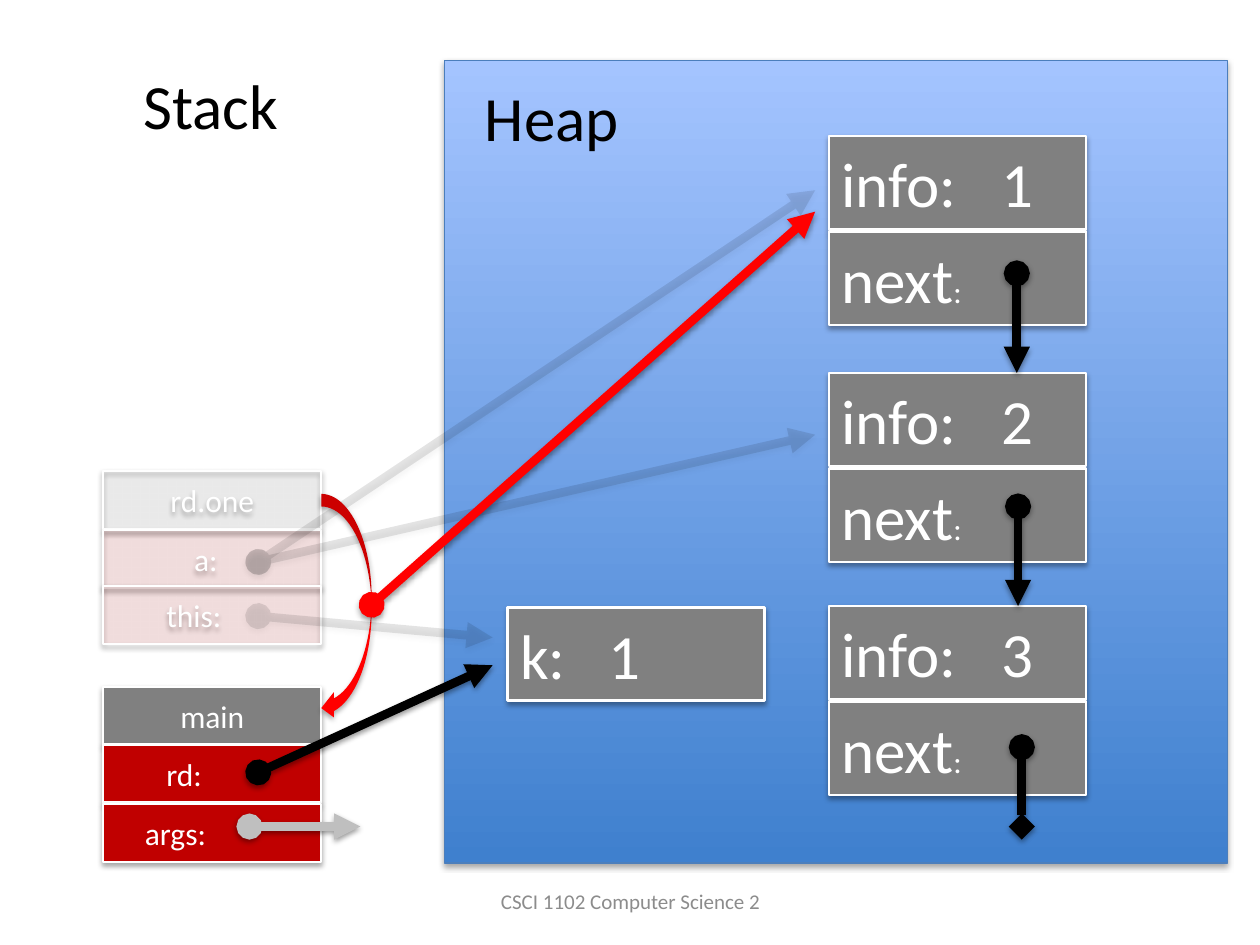
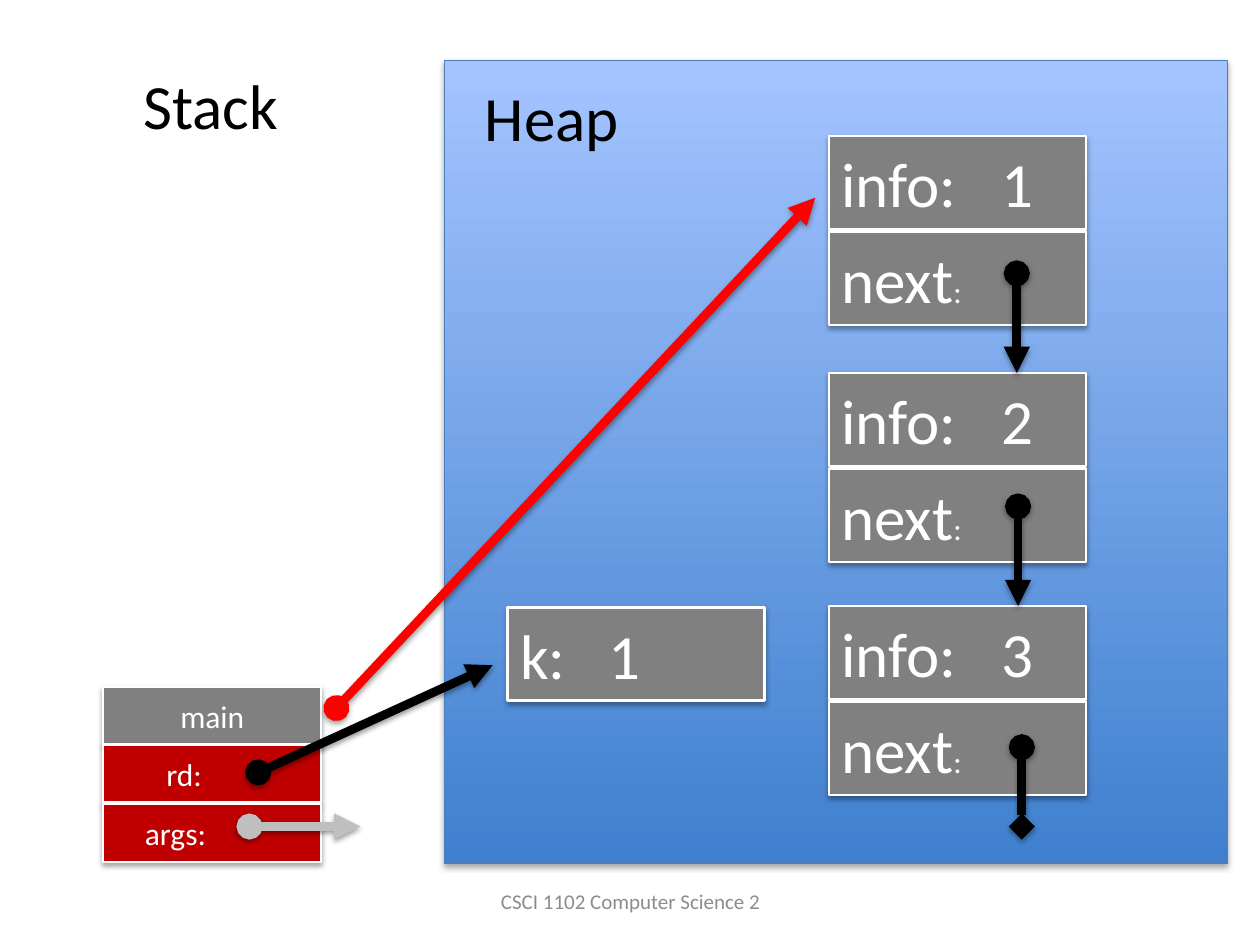
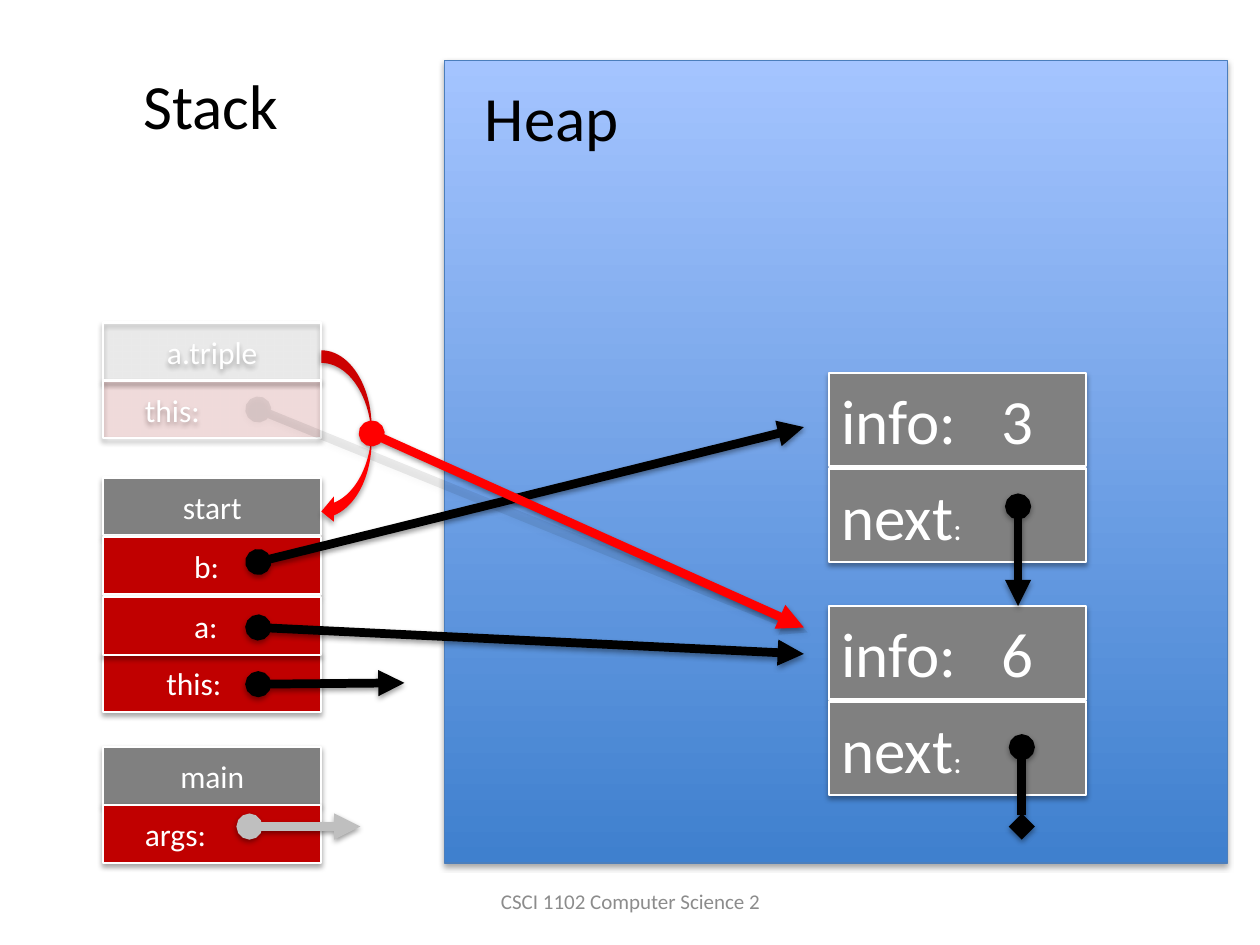
from pptx import Presentation
from pptx.dml.color import RGBColor as RGB
from pptx.enum.shapes import MSO_CONNECTOR as LINK, MSO_SHAPE as SHAPE
from pptx.enum.text import MSO_ANCHOR as ANCHOR, MSO_AUTO_SIZE as AUTO, PP_ALIGN as ALIGN
from pptx.oxml import parse_xml
from pptx.oxml.ns import nsdecls, qn
from pptx.util import Inches, Pt


class Theme:
    font = "Calibri"
    big, mid, small = 36, 18, 12
    black, white, gray = "000000", "FFFFFF", "808080"
    red, hot, pale, note = "C00000", "FF0000", "BFBFBF", "8C8C8C"
    deep, light, rim = "3F80CE", "A4C4FF", "4B7EBC"
    thick = 5
    shade = (
        f'<a:effectLst {nsdecls("a")}><a:outerShdw blurRad="39400" dist="%d" dir="5400000" '
        'rotWithShape="0"><a:srgbClr val="000000"><a:alpha val="%d"/></a:srgbClr>'
        "</a:outerShdw></a:effectLst>"
    )
    label = {"word_wrap": False, "auto_size": AUTO.SHAPE_TO_FIT_TEXT}
    cell = {"word_wrap": True, "vertical_anchor": ANCHOR.MIDDLE}


def box(slide, at, parts=(), fill=None, edge=None, fade=100, ink=Theme.white,
        frame=Theme.cell, para=None, tab=None, kind=SHAPE.RECTANGLE):
    spot = [Inches(n) for n in at]
    if fill:
        item = slide.shapes.add_shape(kind, *spot)
        item.fill.solid()
        item.fill.fore_color.rgb = RGB.from_string(fill)
        if fade < 100:
            tint = item.fill._xPr.find(".//" + qn("a:srgbClr"))
            tint.append(parse_xml(f'<a:alpha {nsdecls("a")} val="{fade * 1000}"/>'))
        if edge:
            item.line.color.rgb = RGB.from_string(edge[0])
            item.line.width = Pt(edge[1])
        else:
            item.line.fill.background()
        item._element.spPr.append(parse_xml(Theme.shade % (22900, 35000)))
    else:
        item = slide.shapes.add_textbox(*spot)
    body = item.text_frame
    for key, val in frame.items():
        setattr(body, key, val)
    line = body.paragraphs[0]
    for key, val in {"alignment": ALIGN.LEFT, **(para or {})}.items():
        setattr(line, key, val)
    if tab:
        line._p.get_or_add_pPr().append(parse_xml(
            f'<a:tabLst {nsdecls("a")}><a:tab pos="{Inches(tab)}" algn="l"/></a:tabLst>'))
    for text, size in parts:
        run = line.add_run()
        run.text = text
        run.font.color.rgb = RGB.from_string(ink)
        for key, val in {"name": Theme.font, "size": Pt(size)}.items():
            setattr(run.font, key, val)
    return item


def arrow(slide, start, end, hue=Theme.black, fade=100, tip="triangle"):
    link = slide.shapes.add_connector(LINK.STRAIGHT, *[Inches(n) for n in (*start, *end)])
    link.line.color.rgb = RGB.from_string(hue)
    link.line.width = Pt(Theme.thick)
    ln = link.line._ln
    if fade < 100:
        tint = ln.find(".//" + qn("a:srgbClr"))
        tint.append(parse_xml(f'<a:alpha {nsdecls("a")} val="{fade * 1000}"/>'))
    for tag, form in (("headEnd", "oval"), ("tailEnd", tip)):
        ln.append(parse_xml(f'<a:{tag} {nsdecls("a")} type="{form}"/>'))
    link._element.spPr.append(parse_xml(Theme.shade % (20000, 38000)))


left, wide, high = 0.82, 1.73, 0.46
near, mid, far = 0.23, 0.4, 0.62
pitch = 0.76
first = (1.08, "1", 8.07, 2.17, 2.96, "triangle")
main = [(5.45, "main", None, 100), (5.91, "rd:", mid, 100), (6.38, "args:", near, 100)]
rd = ((2.05, 6.13), (3.91, 5.28), Theme.black, 100)
args = ((1.98, 6.56), (2.86, 6.56), Theme.pale, 100)


def_last = ("triangle", "diamond")
scenes = [
    {
        "rows": main + [(3.74, "rd.one", None, 10), (4.21, "a:", far, 10), (4.65, "this:", mid, 10)],
        "key": "1",
        "list": ["3", "2", "1"],
        "links": [
            args, rd,
            ((2.05, 4.89), (3.91, 5.06), Theme.black, 10),
            ((2.05, 4.46), (6.47, 3.45), Theme.black, 10),
            ((2.05, 4.46), (6.47, 1.51), Theme.black, 10),
        ],
        "curve": (3.92, 1.8),
        "result": ((2.95, 4.8), (6.47, 1.68)),
    },
    {
        "rows": main,
        "key": "1",
        "list": ["3", "2", "1"],
        "links": [args, rd],
        "curve": None,
        "result": ((2.67, 5.62), (6.47, 1.57)),
    },
    {
        "rows": [
            (5.93, "main", None, 100), (6.39, "args:", near, 100),
            (3.79, "start", None, 100), (4.26, "b:", far, 100),
            (5.19, "this:", mid, 100), (4.74, "a:", far, 100),
            (2.56, "a.triple", None, 10), (3.02, "this:", near, 11),
        ],
        "key": None,
        "list": ["6", "3"],
        "links": [
            args,
            ((2.05, 4.98), (6.38, 5.19), Theme.black, 100),
            ((2.05, 4.46), (6.38, 3.39), Theme.black, 100),
            ((2.05, 5.43), (3.21, 5.42), Theme.black, 100),
            ((2.05, 3.25), (6.41, 5.02), Theme.black, 7),
        ],
        "curve": (2.78, 1.38),
        "result": ((2.95, 3.44), (6.38, 4.98)),
    },
]
slots = [
    (4.81, (8.11, 5.93), (8.11, 6.56), "diamond"),
    (2.96, (8.08, 4.02), (8.08, 4.81), "triangle"),
    (1.08, (8.07, 2.17), (8.07, 2.96), "triangle"),
]
node = {"fill": Theme.gray, "edge": (Theme.white, 1.5)}

deck = Presentation()
deck.slide_width, deck.slide_height = Inches(10), Inches(7.5)

for scene in scenes:
    slide = deck.slides.add_slide(deck.slide_layouts[6])

    heap = box(slide, (3.53, 0.48, 6.21, 6.37), fill=Theme.deep, edge=(Theme.rim, 0.75))
    heap.fill.gradient()
    heap.fill.gradient_angle = 90
    for stop, (place, hue) in zip(heap.fill.gradient_stops, ((0, Theme.deep), (1, Theme.light))):
        stop.position = place
        stop.color.rgb = RGB.from_string(hue)

    box(slide, (3.42, 6.95, 3.17, 0.4), [("CSCI 1102 Computer Science 2", Theme.small)],
        ink=Theme.note, para={"alignment": ALIGN.CENTER})
    for text, at in (("Heap", (3.75, 0.57, 1.27, 0.71)), ("Stack", (1.04, 0.48, 1.28, 0.71))):
        box(slide, at, [(text, Theme.big)], ink=Theme.black, frame=Theme.label)

    for top, text, pad, fade in scene["rows"]:
        head = pad is None
        cell = box(slide, (left, top, wide, high), [(text, Theme.mid)],
                   Theme.gray if head else Theme.red, (Theme.white, 1.25), fade,
                   para={"alignment": ALIGN.CENTER if head else ALIGN.LEFT})
        if not head:
            cell.text_frame.margin_left = Inches(0.1 + pad)

    if scene["key"]:
        box(slide, (4.03, 4.82, 2.04, 0.74), [("k:\t" + scene["key"], Theme.big)], tab=0.7, **node)

    for value, (top, start, end, tip) in zip(scene["list"], slots):
        box(slide, (6.58, top, 2.04, 0.74), [("info:\t" + value, Theme.big)], tab=1.27, **node)
        box(slide, (6.58, top + pitch, 2.04, 0.74), [("next", Theme.big), (":", Theme.mid)], **node)
        arrow(slide, start, end, tip=tip)

    for link in scene["links"]:
        arrow(slide, *link)
    if scene["curve"]:
        top, tall = scene["curve"]
        box(slide, (2.55, top, 0.4, tall), fill=Theme.hot, kind=SHAPE.CURVED_LEFT_ARROW)
    arrow(slide, *scene["result"], Theme.hot)

deck.save("out.pptx")
